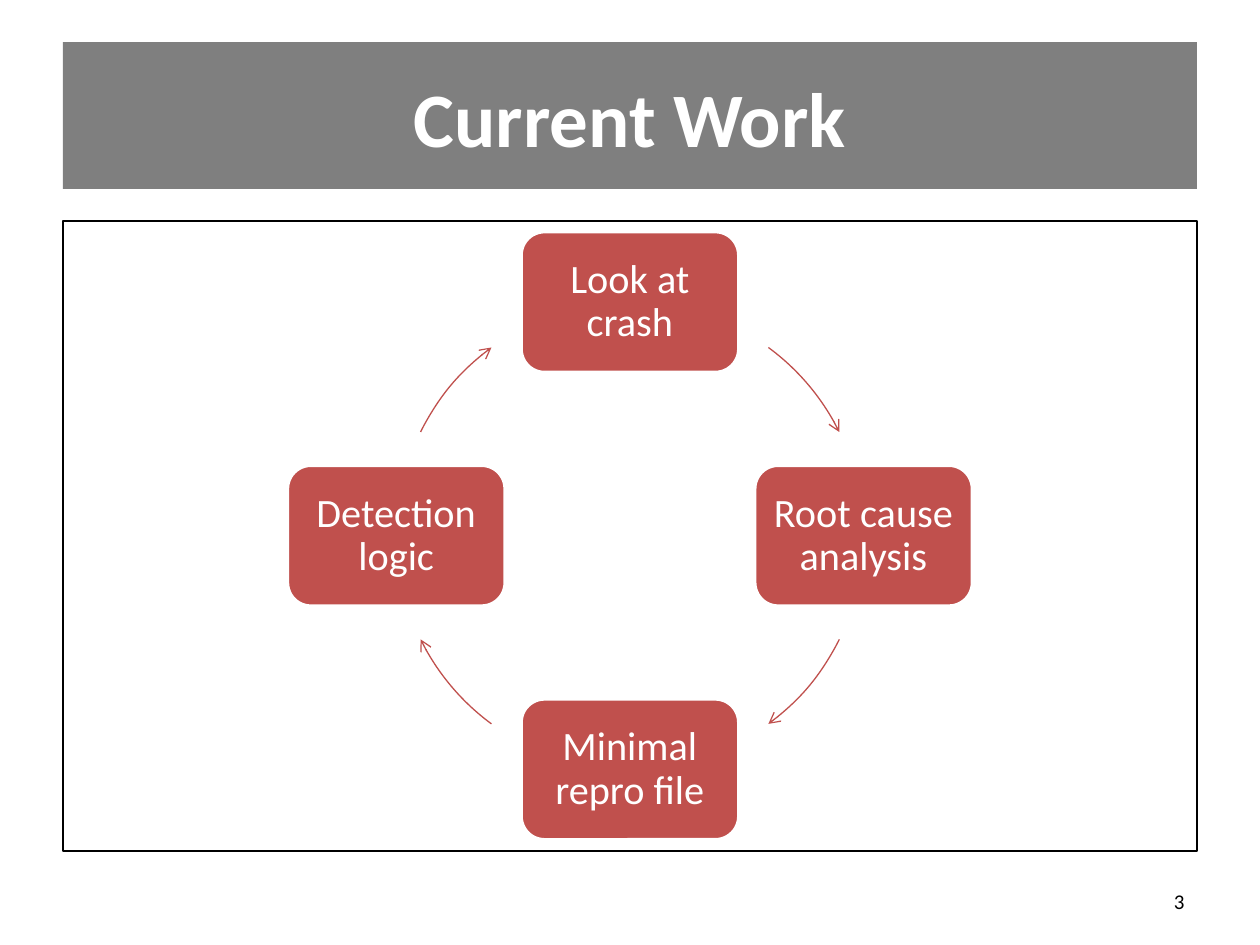
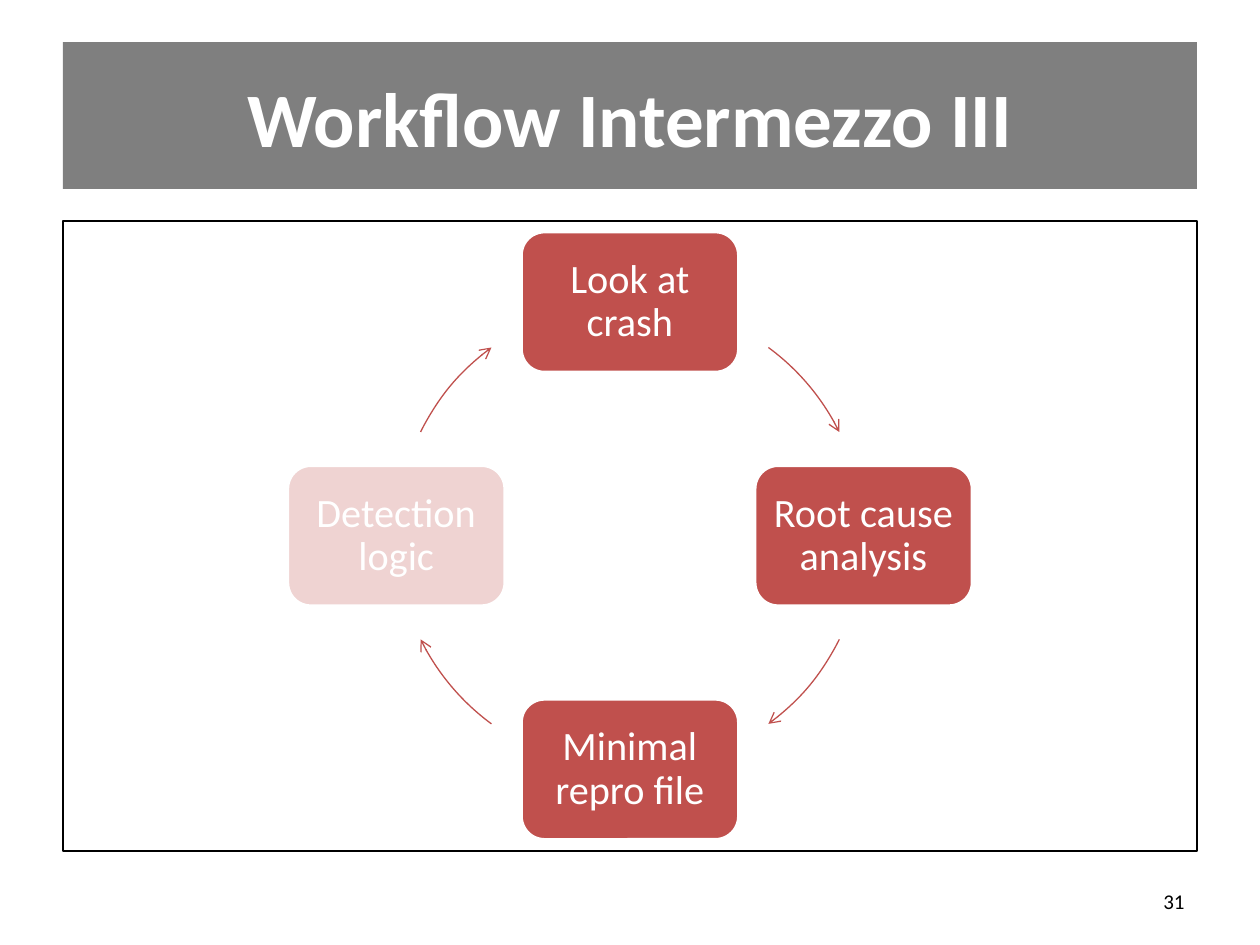
from math import cos, radians, sin

from lxml.etree import SubElement
from pptx import Presentation
from pptx.dml.color import RGBColor
from pptx.enum.shapes import MSO_SHAPE
from pptx.enum.text import MSO_ANCHOR, PP_ALIGN
from pptx.oxml.ns import qn
from pptx.util import Cm, Pt

SLIDES = [
    {"title": "Current Work", "page": "3", "faded": []},
    {"title": "Workflow Intermezzo III", "page": "31", "faded": ["Detection logic"]},
]
STEPS = ["Look at crash", "Root cause analysis", "Minimal repro file", "Detection logic"]
ARC_MIDS = [320, 40, 140, 220]
ARC_HALF = 13.65

COLORS = {"red": "C0504D", "white": "FFFFFF", "black": "000000"}
FONT = "Calibri"
LEFT, WIDE = 1.27, 22.86
BAND = (LEFT, 0.85, WIDE, 2.96)
FRAME = (LEFT, 4.45, WIDE, 12.7)
TITLE = (LEFT, 0.76, WIDE, 3.18)
PAGE = (18.21, 17.65, 5.92, 1.02)
MID_X, MID_Y, RADIUS = 12.7, 10.8, 4.71
NODE_W, NODE_H = 4.39, 2.84


def color(name):
    return RGBColor.from_string(COLORS[name])


def write(frame, text, size=12, tint="black", bold=False, align=PP_ALIGN.CENTER,
          inset=0.25, space=1.0):
    frame.word_wrap = True
    frame.vertical_anchor = MSO_ANCHOR.MIDDLE
    frame.margin_left = frame.margin_right = Cm(inset)
    frame.text = text
    para = frame.paragraphs[0]
    para.alignment = align
    para.line_spacing = space
    font = para.runs[0].font
    font.name, font.size, font.bold = FONT, Pt(size), bold
    font.color.rgb = color(tint)


def draw(slide, kind, box, fill=None, alpha=100, line=None, width=1):
    shape = slide.shapes.add_shape(kind, *map(Cm, box))
    shape.shadow.inherit = False
    if fill:
        shape.fill.solid()
        shape.fill.fore_color.rgb = color(fill)
        if alpha < 100:
            tone = shape.fill._xPr.find(qn("a:solidFill"))[0]
            SubElement(tone, qn("a:alpha"), val=str(alpha * 1000))
    else:
        shape.fill.background()
    if line:
        shape.line.color.rgb = color(line)
        shape.line.width = Pt(width)
    else:
        shape.line.fill.background()
    return shape


def set_backdrop(slide):
    band = draw(slide, MSO_SHAPE.RECTANGLE, BAND, fill="black", alpha=50)
    frame = draw(slide, MSO_SHAPE.RECTANGLE, FRAME, line="black")
    tree = slide.slide_layout.shapes._spTree
    for place, shape in enumerate((band, frame), start=2):
        tree.insert(place, shape._element)


def add_title(slide, text):
    title = slide.shapes.title
    title.left, title.top, title.width, title.height = map(Cm, TITLE)
    write(title.text_frame, text, size=44, tint="white", bold=True)


def add_node(slide, step, angle, alpha):
    x = MID_X + RADIUS * cos(radians(angle)) - NODE_W / 2
    y = MID_Y + RADIUS * sin(radians(angle)) - NODE_H / 2
    node = draw(slide, MSO_SHAPE.ROUNDED_RECTANGLE, (x, y, NODE_W, NODE_H),
                fill="red", alpha=alpha, line="white", width=2)
    write(node.text_frame, step, size=23, tint="white", inset=0.2, space=0.9)


def add_arc(slide, middle):
    box = (MID_X - RADIUS, MID_Y - RADIUS, 2 * RADIUS, 2 * RADIUS)
    arc = draw(slide, MSO_SHAPE.ARC, box, line="red", width=0.75)
    for i, angle in enumerate((middle - ARC_HALF, middle + ARC_HALF)):
        arc.adjustments[i] = angle * 0.6
    SubElement(arc.line._get_or_add_ln(), qn("a:tailEnd"), type="arrow")


def add_cycle(slide, faded):
    for i, (step, middle) in enumerate(zip(STEPS, ARC_MIDS)):
        add_node(slide, step, i * 90 - 90, 25 if step in faded else 100)
        add_arc(slide, middle)


def add_page(slide, text):
    box = slide.shapes.add_textbox(*map(Cm, PAGE))
    write(box.text_frame, text, align=PP_ALIGN.RIGHT)


def main():
    deck = Presentation()
    deck.slide_width, deck.slide_height = Cm(25.4), Cm(19.05)
    for i, data in enumerate(SLIDES):
        slide = deck.slides.add_slide(deck.slide_layouts[5])
        if i == 0:
            set_backdrop(slide)
        add_title(slide, data["title"])
        add_cycle(slide, data["faded"])
        add_page(slide, data["page"])
    deck.save("out.pptx")


if __name__ == "__main__":
    main()
